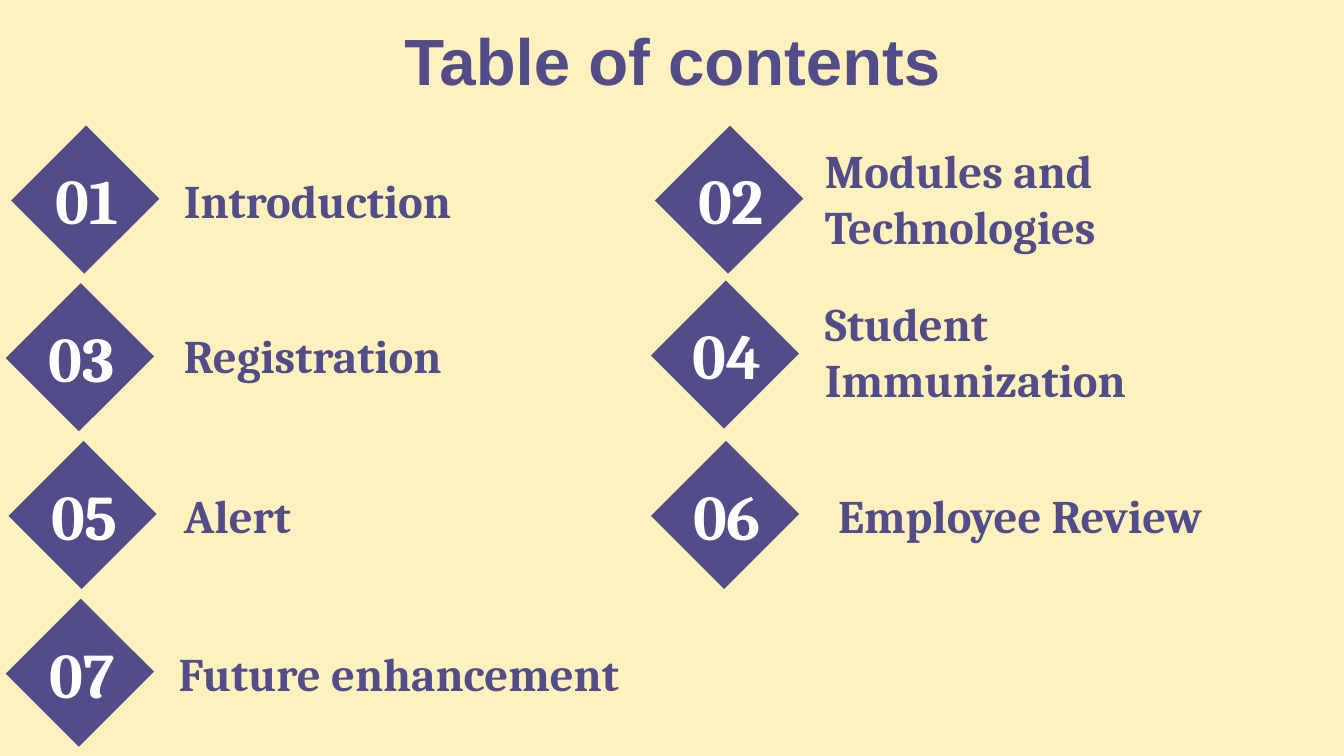
from pptx import Presentation
from pptx.dml.color import RGBColor
from pptx.enum.shapes import MSO_SHAPE as Shape
from pptx.enum.text import MSO_ANCHOR as Anchor, PP_ALIGN as Align
from pptx.util import Inches, Pt

CREAM = RGBColor(0xFF, 0xF1, 0xBD)
PLUM = RGBColor(0x52, 0x4D, 0x89)
WHITE = RGBColor(0xFF, 0xFF, 0xFF)

WIDE = 10
HIGH = WIDE * 9 / 16
COLS = (0.2, 5)
TEXTS = (1.27, 6.04)
TOP, PITCH = 1.1, 3.52 / 3
SIDE, TALL = 0.79, 0.77
NUM, LINE = 1.2, 0.63

TOPICS = (
    ("Introduction", (0.04, 0), (0, 0), 2.58, Align.LEFT),
    ("Modules and Technologies", (0.03, 0), (0, -0.01), 3.96, Align.LEFT),
    ("Registration", (0, 0), (0, -0.02), 3.1, Align.LEFT),
    ("Student Immunization", (0, -0.02), (0, -0.05), 3.23, Align.LEFT),
    ("Alert", (0.02, 0), (0, 0), 3.1, Align.LEFT),
    ("Employee Review", (0, 0), (0, 0), 3.1, Align.CENTER),
    ("Future enhancement", (0, 0), (-0.04, 0), 4.15, Align.LEFT),
)


def add_text(slide, box, words, font, size, color, align):
    """Place one bold run of text in the middle of a box."""
    frame = slide.shapes.add_textbox(*map(Inches, box)).text_frame
    frame.word_wrap = True
    frame.vertical_anchor = Anchor.MIDDLE
    frame.margin_left = frame.margin_right = Inches(0.1)
    frame.margin_top = frame.margin_bottom = Inches(0.1)
    para = frame.paragraphs[0]
    para.alignment = align
    run = para.add_run()
    run.text = words
    run.font.name = font
    run.font.size = Pt(size)
    run.font.bold = True
    run.font.color.rgb = color


def add_badge(slide, box, num):
    """Draw a turned square with its number in the centre."""
    left, top, wide, tall = box
    gem = slide.shapes.add_shape(Shape.RECTANGLE, *map(Inches, box))
    gem.rotation = 315
    gem.shadow.inherit = False
    gem.fill.solid()
    gem.fill.fore_color.rgb = PLUM
    gem.line.fill.background()
    spot = (left - 0.19, top + (tall - LINE) / 2, NUM, LINE)
    add_text(slide, spot, f"{num:02}", "Cambria", 34, WHITE, Align.CENTER)


def add_topics(slide, top):
    """Lay the topics out in two columns, row by row."""
    for i, (words, gem, label, wide, align) in enumerate(TOPICS):
        row, col = divmod(i, 2)
        y = top + row * PITCH
        add_badge(slide, (COLS[col] + gem[0], y + gem[1], SIDE, TALL), i + 1)
        box = (TEXTS[col] + label[0], y + (TALL - LINE) / 2 + label[1], wide, LINE)
        add_text(slide, box, words, "Cambria", 25, PLUM, align)


def main():
    """Build the contents slide and save it."""
    deck = Presentation()
    deck.slide_width, deck.slide_height = Inches(WIDE), Inches(HIGH)
    slide = deck.slides.add_slide(deck.slide_layouts[6])
    fill = slide.background.fill
    fill.solid()
    fill.fore_color.rgb = CREAM
    head = (0.88, 0.18, 8.25, 0.52)
    add_text(slide, head, "Table of contents", "Arial", 35, PLUM, Align.CENTER)
    add_topics(slide, TOP)
    deck.save("out.pptx")


if __name__ == "__main__":
    main()
